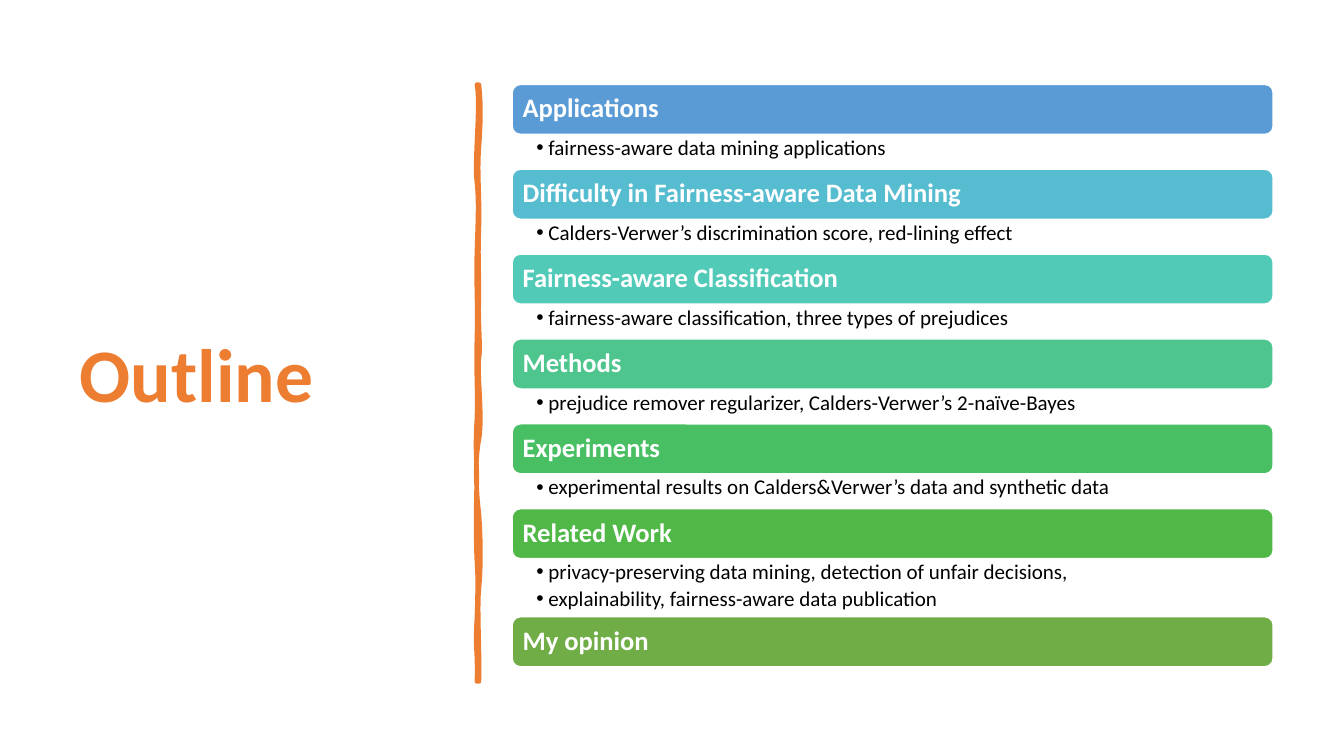
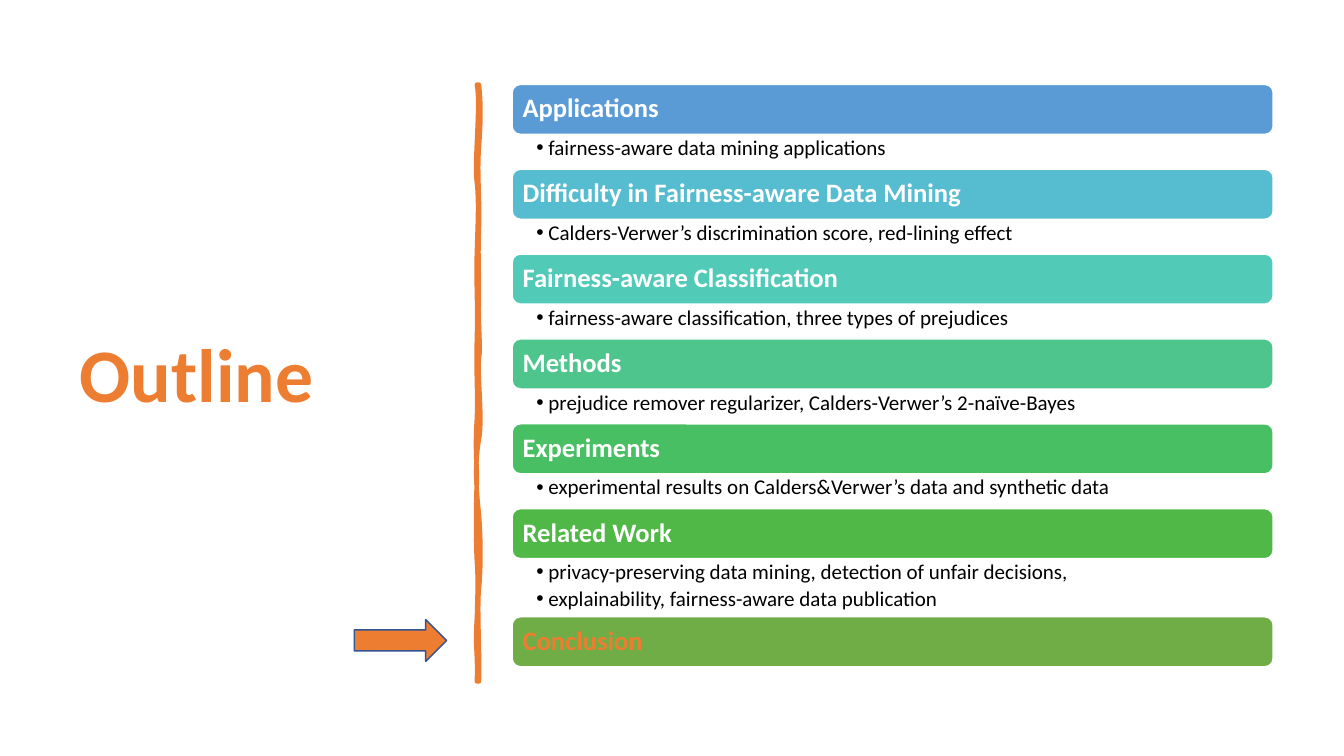
from dataclasses import dataclass, replace

from lxml import etree
from pptx import Presentation
from pptx.dml.color import RGBColor
from pptx.enum.shapes import MSO_SHAPE
from pptx.enum.text import MSO_ANCHOR, PP_ALIGN
from pptx.oxml.ns import qn
from pptx.util import Inches, Pt

ROUNDED, ARROW = MSO_SHAPE.ROUNDED_RECTANGLE, MSO_SHAPE.RIGHT_ARROW
TOP, MIDDLE = MSO_ANCHOR.TOP, MSO_ANCHOR.MIDDLE
LEFT = PP_ALIGN.LEFT

# The page is a grid of 320 columns by 180 rows
COLUMNS, ROWS = 320, 180
SLIDE_WIDTH, SLIDE_HEIGHT = Inches(13.33), Inches(7.5)
BLANK_LAYOUT = 6


@dataclass(frozen=True)
class Theme:
    font: str = "Calibri"
    bullet_font: str = "Arial"
    accent: str = "ED7D31"
    white: str = "FFFFFF"
    black: str = "000000"
    arrow_line: str = "325491"
    title_size: int = 54
    heading_size: int = 19
    detail_size: int = 15
    brush_width: float = 3.25


THEME = Theme()


@dataclass(frozen=True)
class Area:
    column: float
    row: float
    columns: float
    rows: float

    def place(self) -> tuple[int, int, int, int]:
        across, down = SLIDE_WIDTH / COLUMNS, SLIDE_HEIGHT / ROWS
        return (round(self.column * across), round(self.row * down),
                round(self.columns * across), round(self.rows * down))


@dataclass(frozen=True)
class TextStyle:
    size: int
    color: str
    bold: bool = False
    bullet: bool = False
    anchor: MSO_ANCHOR = MIDDLE
    insets: tuple[float, float, float, float] = (0.08, 0.08, 0.08, 0.08)


@dataclass(frozen=True)
class Section:
    heading: str
    fill: str
    details: tuple[str, ...] = ()
    text_color: str = THEME.white

    def detail_units(self) -> int:
        """One line of detail takes 3 units, each further line 2 more."""
        return 1 + 2 * len(self.details) if self.details else 0


TITLE_STYLE = TextStyle(THEME.title_size, THEME.accent, bold=True,
                        insets=(0.1, 0.05, 0.1, 0.05))
DETAIL_STYLE = TextStyle(THEME.detail_size, THEME.black, bullet=True,
                         anchor=TOP, insets=(0.24, 0.03, 0.15, 0.03))

TITLE_AREA = Area(16.65, 16.8, 89.8, 146.6)
STACK_AREA = Area(121.95, 20.1, 181.2, 138.65)
ARROW_AREA = Area(84.35, 147.5, 22, 10)
BAR_ROWS = 11.9

SECTIONS = (
    Section("Applications", "5B9BD5",
            ("fairness-aware data mining applications",)),
    Section("Difficulty in Fairness-aware Data Mining", "56BCD0",
            ("Calders-Verwer’s discrimination score, red-lining effect",)),
    Section("Fairness-aware Classification", "52CAB8",
            ("fairness-aware classification, three types of prejudices",)),
    Section("Methods", "4DC58D",
            ("prejudice remover regularizer, Calders-Verwer’s 2-naïve-Bayes",)),
    Section("Experiments", "49BF64",
            ("experimental results on Calders&Verwer’s data and synthetic data",)),
    Section("Related Work", "50B846",
            ("privacy-preserving data mining, detection of unfair decisions,",
             "explainability, fairness-aware data publication")),
)
OPINION = Section("My opinion", "70AD47")
CONCLUSION = replace(OPINION, heading="Conclusion", text_color=THEME.accent)

# Brush stroke: cubic curves in inches, two control points and an end point
BRUSH_LEFT, BRUSH_RIGHT, BRUSH_TOP, BRUSH_BOTTOM = 4.73, 4.75, 0.84, 6.76
BRUSH_EDGE = (
    (4.77, 1.02, 4.77, 1.19, 4.75, 1.46), (4.73, 1.73, 4.76, 1.95, 4.75, 2.26),
    (4.74, 2.57, 4.75, 2.62, 4.75, 2.94), (4.74, 3.25, 4.77, 3.42, 4.75, 3.56),
    (4.73, 3.7, 4.79, 4.14, 4.75, 4.36), (4.71, 4.57, 4.72, 4.84, 4.75, 5.1),
    (4.77, 5.36, 4.77, 5.64, 4.75, 5.84), (4.73, 6.03, 4.76, 6.5, 4.75, 6.76),
    (4.74, 6.76, 4.73, 6.76, 4.73, 6.76), (4.74, 6.46, 4.71, 6.44, 4.73, 6.13),
    (4.74, 5.83, 4.74, 5.7, 4.73, 5.57), (4.72, 5.44, 4.72, 4.95, 4.73, 4.77),
    (4.73, 4.59, 4.71, 4.45, 4.73, 4.15), (4.74, 3.86, 4.72, 3.73, 4.73, 3.35),
    (4.74, 2.98, 4.72, 2.81, 4.73, 2.5), (4.74, 2.18, 4.75, 2, 4.73, 1.81),
    (4.7, 1.63, 4.77, 1.04, 4.73, 0.84), (4.74, 0.84, 4.74, 0.84, 4.75, 0.84),
)
BRUSH_BODY = (
    (4.75, 1.15, 4.72, 1.25, 4.75, 1.52), (4.77, 1.79, 4.74, 1.97, 4.75, 2.08),
    (4.76, 2.2, 4.74, 2.55, 4.75, 2.94), (4.76, 3.33, 4.73, 3.43, 4.75, 3.62),
    (4.77, 3.81, 4.77, 3.97, 4.75, 4.3), (4.72, 4.63, 4.75, 4.74, 4.75, 5.16),
    (4.75, 5.57, 4.74, 5.53, 4.75, 5.78), (4.76, 6.03, 4.74, 6.47, 4.75, 6.76),
    (4.74, 6.75, 4.73, 6.75, 4.73, 6.76), (4.7, 6.49, 4.74, 6.32, 4.73, 6.13),
    (4.72, 5.95, 4.75, 5.69, 4.73, 5.39), (4.71, 5.1, 4.76, 5, 4.73, 4.71),
    (4.7, 4.42, 4.77, 4.2, 4.73, 3.86), (4.69, 3.51, 4.74, 3.25, 4.73, 3),
    (4.71, 2.75, 4.71, 2.59, 4.73, 2.38), (4.74, 2.16, 4.74, 1.85, 4.73, 1.64),
    (4.71, 1.43, 4.75, 1.21, 4.73, 0.84), (4.74, 0.84, 4.74, 0.84, 4.75, 0.84),
)


def paint(shape, fill: str, line: str, width: float = 1) -> None:
    shape.shadow.inherit = False
    for target, color in ((shape.fill, fill), (shape.line.fill, line)):
        target.solid()
        target.fore_color.rgb = RGBColor.from_string(color)
    shape.line.width = Pt(width)


def add_bullet(para) -> None:
    properties = para._p.get_or_add_pPr()
    properties.set("marL", str(Inches(0.12)))
    properties.set("indent", str(-Inches(0.12)))
    etree.SubElement(properties, qn("a:buFont")).set("typeface", THEME.bullet_font)
    etree.SubElement(properties, qn("a:buChar")).set("char", "•")


def write(shape, lines: tuple[str, ...], style: TextStyle) -> None:
    frame = shape.text_frame
    left, top, right, bottom = map(Inches, style.insets)
    frame_format = {"word_wrap": True, "vertical_anchor": style.anchor,
                    "margin_left": left, "margin_top": top,
                    "margin_right": right, "margin_bottom": bottom}
    para_format = {"alignment": LEFT, "line_spacing": 0.9,
                   "space_after": Pt(style.size * 0.2 if style.bullet else 0)}
    font_format = {"name": THEME.font, "size": Pt(style.size), "bold": style.bold}
    for name, value in frame_format.items():
        setattr(frame, name, value)
    for index, line in enumerate(lines):
        para = frame.add_paragraph() if index else frame.paragraphs[0]
        for name, value in para_format.items():
            setattr(para, name, value)
        if style.bullet:
            add_bullet(para)
        span = para.add_run()
        span.text = line
        for name, value in font_format.items():
            setattr(span.font, name, value)
        span.font.color.rgb = RGBColor.from_string(style.color)


def add_text(page, area: Area, lines: tuple[str, ...], style: TextStyle) -> None:
    write(page.shapes.add_textbox(*area.place()), lines, style)


def add_point(parent, x: float, y: float) -> None:
    point = etree.SubElement(parent, qn("a:pt"))
    point.set("x", str(Inches(x) - Inches(BRUSH_LEFT)))
    point.set("y", str(Inches(y) - Inches(BRUSH_TOP)))


def add_curves(outlines, size: dict[str, str], curves: tuple) -> None:
    """Append one closed outline of cubic curves."""
    outline = etree.SubElement(outlines, qn("a:path"), size)
    add_point(etree.SubElement(outline, qn("a:moveTo")), BRUSH_RIGHT, BRUSH_TOP)
    for curve in curves:
        segment = etree.SubElement(outline, qn("a:cubicBezTo"))
        for x, y in zip(curve[::2], curve[1::2]):
            add_point(segment, x, y)
    etree.SubElement(outline, qn("a:close"))


def add_brush(page) -> None:
    """Draw one freeform: an unfilled edge and an unstroked body."""
    corners = ((BRUSH_RIGHT, BRUSH_BOTTOM), (BRUSH_LEFT, BRUSH_BOTTOM),
               (BRUSH_LEFT, BRUSH_TOP))
    builder = page.shapes.build_freeform(Inches(BRUSH_RIGHT), Inches(BRUSH_TOP))
    builder.add_line_segments([tuple(map(Inches, corner)) for corner in corners])
    brush = builder.convert_to_shape()
    paint(brush, THEME.accent, THEME.accent, THEME.brush_width)
    properties = brush.element.spPr
    outlines = properties.find(".//" + qn("a:pathLst"))
    for straight in list(outlines):
        outlines.remove(straight)
    size = {"w": str(brush.width), "h": str(brush.height)}
    add_curves(outlines, {**size, "fill": "none"}, BRUSH_EDGE)
    add_curves(outlines, {**size, "stroke": "0"}, BRUSH_BODY)
    line = properties.find(qn("a:ln"))
    line.set("cap", "rnd")
    etree.SubElement(line, qn("a:round"))


def add_stack(page, sections: tuple[Section, ...]) -> None:
    """Stack bars and details so that they fill the stack area."""
    spare_rows = STACK_AREA.rows - BAR_ROWS * len(sections)
    unit = spare_rows / sum(section.detail_units() for section in sections)
    row = STACK_AREA.row
    for section in sections:
        bar_area = replace(STACK_AREA, row=row, rows=BAR_ROWS)
        bar = page.shapes.add_shape(ROUNDED, *bar_area.place())
        paint(bar, section.fill, THEME.white)
        write(bar, (section.heading,),
              TextStyle(THEME.heading_size, section.text_color, bold=True))
        row += BAR_ROWS
        if section.details:
            detail_rows = section.detail_units() * unit
            add_text(page, replace(STACK_AREA, row=row, rows=detail_rows),
                     section.details, DETAIL_STYLE)
            row += detail_rows


def add_outline_page(deck, closing: Section, pointed: bool = False) -> None:
    page = deck.slides.add_slide(deck.slide_layouts[BLANK_LAYOUT])
    # Title and brush stroke
    add_text(page, TITLE_AREA, ("Outline",), TITLE_STYLE)
    add_brush(page)
    # Sections
    add_stack(page, SECTIONS + (closing,))
    # Marker of the current section
    if pointed:
        arrow = page.shapes.add_shape(ARROW, *ARROW_AREA.place())
        paint(arrow, THEME.accent, THEME.arrow_line)


def main() -> None:
    deck = Presentation()
    deck.slide_width, deck.slide_height = SLIDE_WIDTH, SLIDE_HEIGHT
    add_outline_page(deck, OPINION)
    add_outline_page(deck, CONCLUSION, pointed=True)
    deck.save("out.pptx")


if __name__ == "__main__":
    main()
